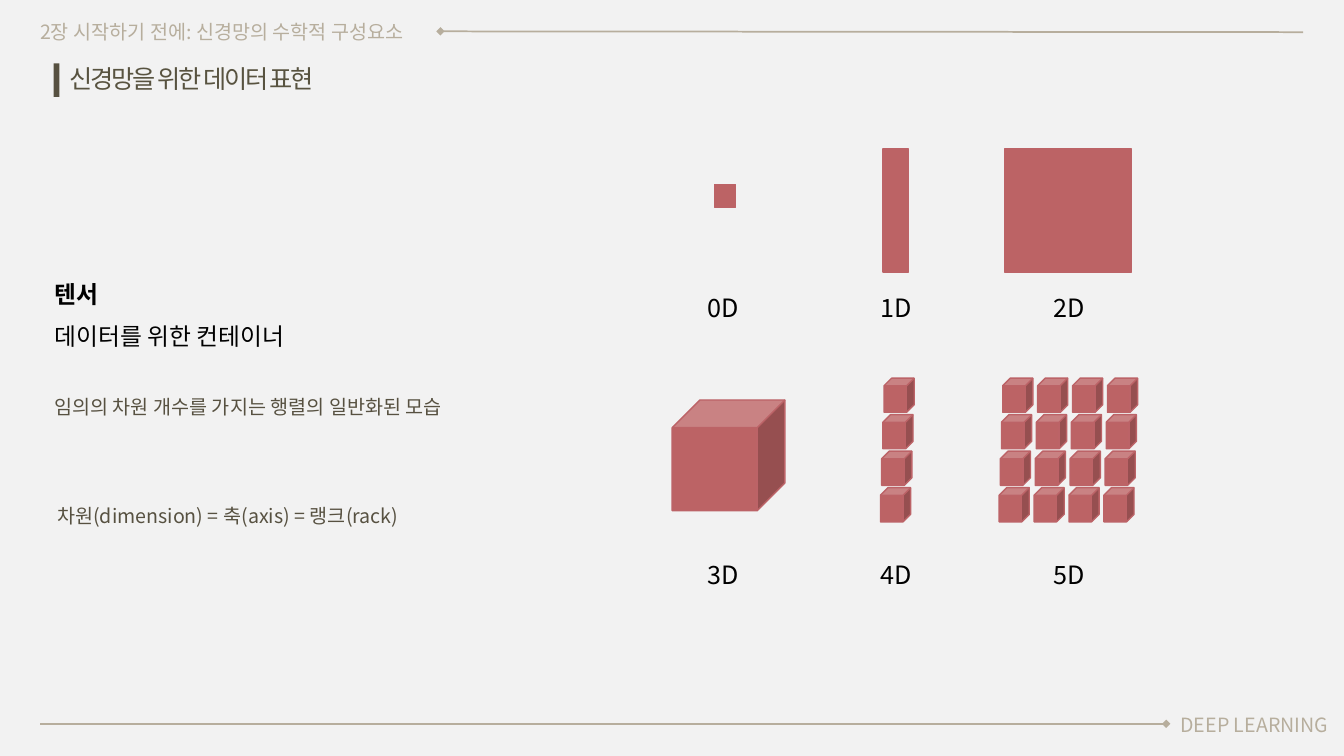
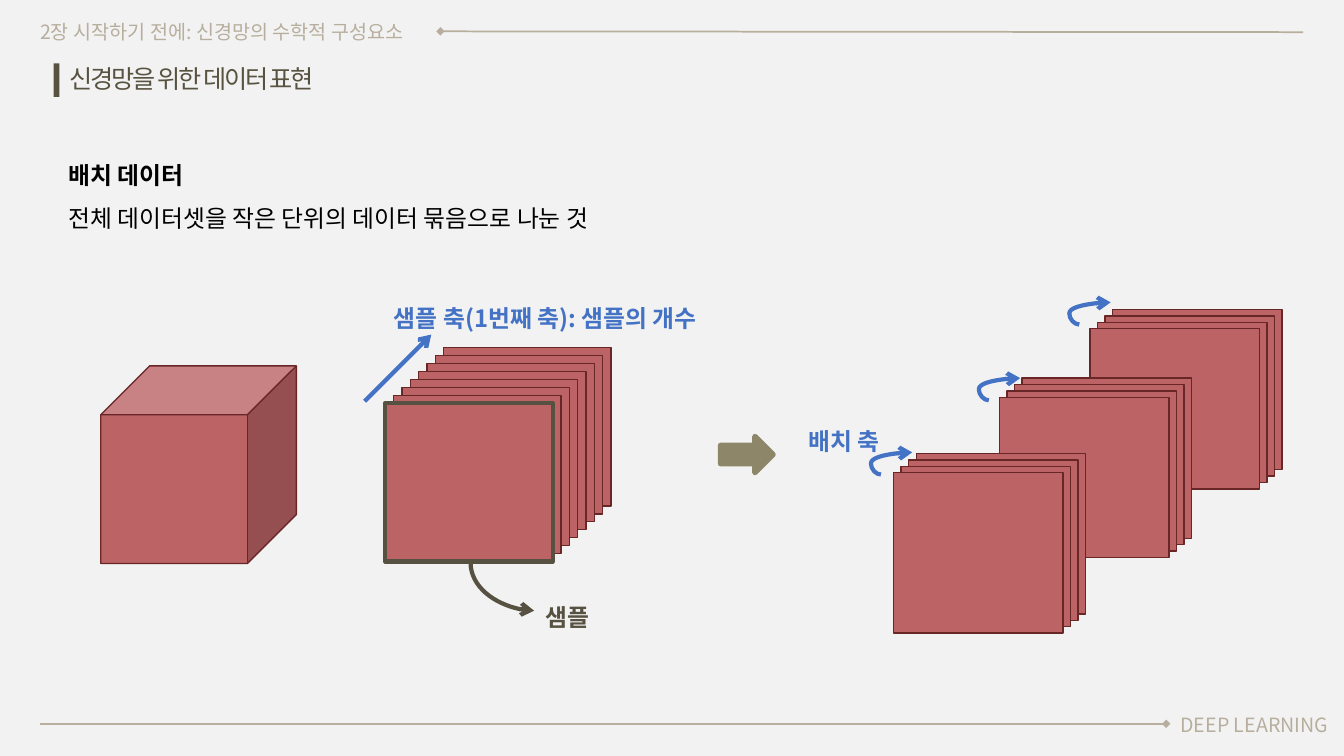
"""Build two slides on tensors and batch data."""
from lxml import etree
from pptx import Presentation
from pptx.dml import color as dml
from pptx.enum import shapes, text
from pptx.oxml import ns
from pptx.util import Cm, Pt

FONT = "Noto Sans CJK KR"
PAPER, SAND, OLIVE, TITLE, KHAKI = "F2F2F2", "B7AE9D", "575141", "585340", "8D8669"
RED, RED_EDGE, MAROON, BLUE, BLACK = "BC6365", "BC6367", "692626", "4472C4", "000000"
RECTANGLE, CUBE = shapes.MSO_SHAPE.RECTANGLE, shapes.MSO_SHAPE.CUBE
STRAIGHT, CURVE = shapes.MSO_CONNECTOR.STRAIGHT, shapes.MSO_CONNECTOR.CURVE
rgb = dml.RGBColor.from_string


def draw(slide, kind, left, top, width, height, fill, edge=None, weight=1):
    shape = slide.shapes.add_shape(kind, Cm(left), Cm(top), Cm(width), Cm(height))
    shape.shadow.inherit = False
    shape.fill.solid()
    shape.fill.fore_color.rgb = rgb(fill)
    if edge:
        shape.line.color.rgb = rgb(edge)
        shape.line.width = Pt(weight)
    else:
        shape.line.fill.background()


def write(shape, left, top, width, height, words, size, color, bold=False, spacing=1.0):
    shape.left, shape.top, shape.width, shape.height = Cm(left), Cm(top), Cm(width), Cm(height)
    frame = shape.text_frame
    frame.text = words
    frame.word_wrap = True
    frame.auto_size = text.MSO_AUTO_SIZE.NONE
    frame.vertical_anchor = text.MSO_ANCHOR.TOP
    for paragraph in frame.paragraphs:
        paragraph.alignment = text.PP_ALIGN.LEFT
        paragraph.line_spacing = spacing
        paragraph.space_before = Pt(0)
        for run in paragraph.runs:
            run.font.name = FONT
            run.font.size = Pt(size)
            run.font.bold = bold
            run.font.color.rgb = rgb(color)
            east_asian = etree.SubElement(run.font._element, ns.qn("a:ea"))
            east_asian.set("typeface", FONT)


presentation = Presentation()
presentation.slide_width, presentation.slide_height = Cm(33.87), Cm(19.05)
background = presentation.slide_master.background.fill
background.solid()
background.fore_color.rgb = rgb(PAPER)

connectors = []
slides = []
for left, top, words in (
    (1.12, 6.55, "텐서\n데이터를 위한 컨테이너"),
    (1.47, 3.56, "배치 데이터\n전체 데이터셋을 작은 단위의 데이터 묶음으로 나눈 것"),
):
    slide = presentation.slides.add_slide(presentation.slide_layouts[1])
    slides.append(slide)
    title, body = slide.placeholders
    write(title, 1.5, 1.47, 8, 1.02, "신경망을 위한 데이터 표현", 18, TITLE)
    title.text_frame.paragraphs[0].runs[0].font._element.set("spc", "-150")
    write(body, left, top, 16, 2.41, words, 17, BLACK, spacing=1.5)
    body.text_frame.paragraphs[0].runs[0].font.bold = True
    for paragraph in body.text_frame.paragraphs:
        properties = paragraph._p.get_or_add_pPr()
        properties.set("marL", "0")
        properties.set("indent", "0")
        etree.SubElement(properties, ns.qn("a:buNone"))
    draw(slide, RECTANGLE, 1.35, 1.6, 0.15, 0.84, OLIVE)
    write(slide.shapes.add_textbox(0, 0, 0, 0), 0.76, 0.38, 10.34, 0.82,
          "2장 시작하기 전에: 신경망의 수학적 구성요소", 14, SAND)
    footer = slide.shapes.add_textbox(0, 0, 0, 0)
    write(footer, 29.36, 17.83, 4.51, 0.84, "DEEP LEARNING", 14, SAND)
    footer.text_frame.paragraphs[0].alignment = text.PP_ALIGN.CENTER
    connectors += [
        (slide, STRAIGHT, 11.1, 0.79, 32.84, 0.81, SAND, 1.25, "headEnd", "diamond"),
        (slide, STRAIGHT, 1.02, 18.24, 29.39, 18.24, SAND, 1.25, "tailEnd", "diamond"),
    ]

tensor_slide, batch_slide = slides

for left, top, words in (
    (1.12, 9.53, "임의의 차원 개수를 가지는 행렬의 일반화된 모습"),
    (1.19, 12.27, "차원(dimension) = 축(axis) = 랭크(rack)"),
):
    write(tensor_slide.shapes.add_textbox(0, 0, 0, 0), left, top, 13.31, 1.14,
          words, 14, OLIVE, spacing=1.5)

for kind, left, top, width, height in (
    (RECTANGLE, 18.01, 4.65, 0.53, 0.58),
    (RECTANGLE, 22.25, 3.76, 0.64, 3.1),
    (RECTANGLE, 25.32, 3.76, 3.2, 3.1),
    (CUBE, 16.94, 10.08, 2.84, 2.79),
):
    draw(tensor_slide, kind, left, top, width, height, RED, RED_EDGE)

for column_left in [22.28] + [25.27 + 0.88 * column for column in range(4)]:
    for row in range(4):
        draw(tensor_slide, CUBE, column_left - 0.03 * row, 9.53 + 0.92 * row,
             0.76, 0.86, RED, RED_EDGE)

for row, top in enumerate((7.24, 13.96)):
    for column, left in enumerate((17.58, 21.95, 26.3)):
        write(tensor_slide.shapes.add_textbox(0, 0, 0, 0), left, top, 1.5, 1.02,
              f"{3 * row + column}D", 18, BLACK)

draw(batch_slide, CUBE, 2.54, 9.22, 4.93, 4.98, RED, MAROON)
for layer in range(8):
    edge, weight = (OLIVE, 3) if layer == 7 else (MAROON, 1)
    draw(batch_slide, RECTANGLE, 11.18 - 0.21 * layer, 8.76 + 0.2 * layer,
         4.22, 3.99, RED, edge, weight)

for left, top, arrow_left, arrow_top in (
    (28.04, 7.8, 27.2, 7.62),
    (25.76, 9.53, 24.92, 9.53),
    (23.09, 11.43, 22.2, 11.4),
):
    for layer in range(4):
        draw(batch_slide, RECTANGLE, left - 0.19 * layer, top + 0.16 * layer,
             4.27, 4.04, RED, MAROON)
    connectors.append((batch_slide, CURVE, arrow_left, arrow_top + 0.56,
                       arrow_left + 0.79, arrow_top, BLUE, 3, "tailEnd", "arrow"))

draw(batch_slide, shapes.MSO_SHAPE.RIGHT_ARROW, 18.16, 11, 1.32, 0.91, KHAKI, KHAKI, 4)

for left, top, width, words, color in (
    (9.68, 7.54, 9.6, "샘플 축(1번째 축): 샘플의 개수", BLUE),
    (13.49, 15.06, 3, "샘플", OLIVE),
    (20.12, 10.64, 2.87, "배치 축", BLUE),
):
    write(batch_slide.shapes.add_textbox(0, 0, 0, 0), left, top, width, 0.97,
          words, 17, color, bold=True)

connectors += [
    (batch_slide, STRAIGHT, 9.19, 10.11, 10.87, 8.43, BLUE, 3, "tailEnd", "arrow"),
    (batch_slide, CURVE, 13.46, 15.39, 11.86, 14.17, OLIVE, 3, "headEnd", "arrow"),
]
for slide, kind, x1, y1, x2, y2, color, weight, end, head in connectors:
    connector = slide.shapes.add_connector(kind, Cm(x1), Cm(y1), Cm(x2), Cm(y2))
    connector.line.color.rgb = rgb(color)
    connector.line.width = Pt(weight)
    properties = connector._element.spPr
    etree.SubElement(properties.find(ns.qn("a:ln")), ns.qn(f"a:{end}")).set("type", head)
    etree.SubElement(properties, ns.qn("a:effectLst"))
    if kind == CURVE:
        geometry = properties.find(ns.qn("a:prstGeom"))
        if end == "headEnd":
            geometry.set("prst", "curvedConnector2")
        else:
            guide = etree.SubElement(geometry.find(ns.qn("a:avLst")), ns.qn("a:gd"))
            guide.set("name", "adj1")
            guide.set("fmla", "val -31900")

presentation.save("out.pptx")
